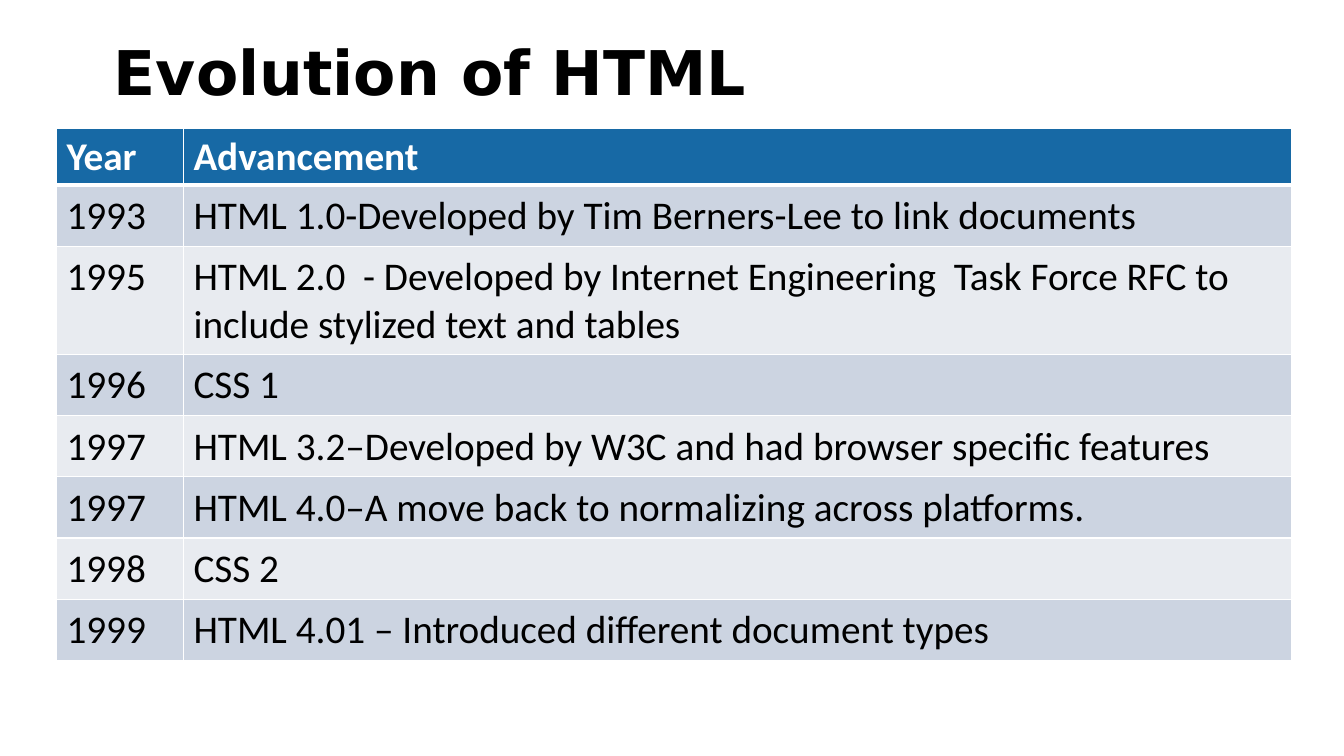
"""Build a slide with a table of the versions of HTML by year."""
from dataclasses import dataclass
from lxml.etree import SubElement
from pptx import Presentation
from pptx.dml.color import RGBColor
from pptx.enum.text import MSO_ANCHOR
from pptx.oxml.ns import qn
from pptx.util import Inches, Pt


@dataclass(frozen=True)
class Theme:
    head: str = "1769A5"
    bands: tuple = ("CCD4E1", "E8EBF0")
    ink: str = "000000"
    white: str = "FFFFFF"
    title_font: str = "DejaVu Sans"
    font: str = "Calibri"
    title_size: int = 44
    size: int = 28


def style(para, name, size, color, bold):
    for run in para.runs:
        run.font.name = name
        run.font.size = Pt(size)
        run.font.bold = bold
        run.font.color.rgb = RGBColor.from_string(color)


def border(cell, side, width, color):
    line = SubElement(cell._tc.get_or_add_tcPr(), qn(f"a:ln{side}"), w=str(Pt(width)))
    fill = SubElement(line, qn("a:solidFill"))
    SubElement(fill, qn("a:srgbClr"), val=color)


theme = Theme()
rows = [
    ("Year", "Advancement"),
    ("1993", "HTML 1.0-Developed by Tim Berners-Lee to link documents"),
    ("1995", "HTML 2.0  - Developed by Internet Engineering  Task Force RFC to "
             "include stylized text and tables"),
    ("1996", "CSS 1"),
    ("1997", "HTML 3.2–Developed by W3C and had browser specific features"),
    ("1997", "HTML 4.0–A move back to normalizing across platforms."),
    ("1998", "CSS 2"),
    ("1999", "HTML 4.01 – Introduced different document types"),
]
heights = {0: 0.55, 2: 1.04}

deck = Presentation()
deck.slide_width, deck.slide_height = Inches(13.33), Inches(7.5)
slide = deck.slides.add_slide(deck.slide_layouts[6])

title = slide.shapes.add_textbox(Inches(1.03), Inches(0.24), Inches(9.22), Inches(1.02))
frame = title.text_frame
frame.word_wrap = True
frame.vertical_anchor = MSO_ANCHOR.MIDDLE
frame.text = "Evolution of HTML"
frame.paragraphs[0].line_spacing = 0.9
style(frame.paragraphs[0], theme.title_font, theme.title_size, theme.ink, True)

table = slide.shapes.add_table(
    len(rows), 2, Inches(0.56), Inches(1.27), Inches(12.25), Inches(5.23)).table
for col, width in zip(table.columns, (1.26, 10.99)):
    col.width = Inches(width)

for r, texts in enumerate(rows):
    table.rows[r].height = Inches(heights.get(r, 0.58))
    head = r == 0
    for c, text in enumerate(texts):
        cell = table.cell(r, c)
        cell.text_frame.text = text
        style(cell.text_frame.paragraphs[0], theme.font, theme.size,
              theme.white if head else theme.ink, head)
        if not head:
            cell.margin_top = cell.margin_bottom = Inches(0.07)
        for side in "LRTB":
            thick = (head and side == "B") or (r == 1 and side == "T")
            border(cell, side, 3 if thick else 1, theme.white)
        cell.fill.solid()
        cell.fill.fore_color.rgb = RGBColor.from_string(
            theme.head if head else theme.bands[(r - 1) % 2])

deck.save("out.pptx")
